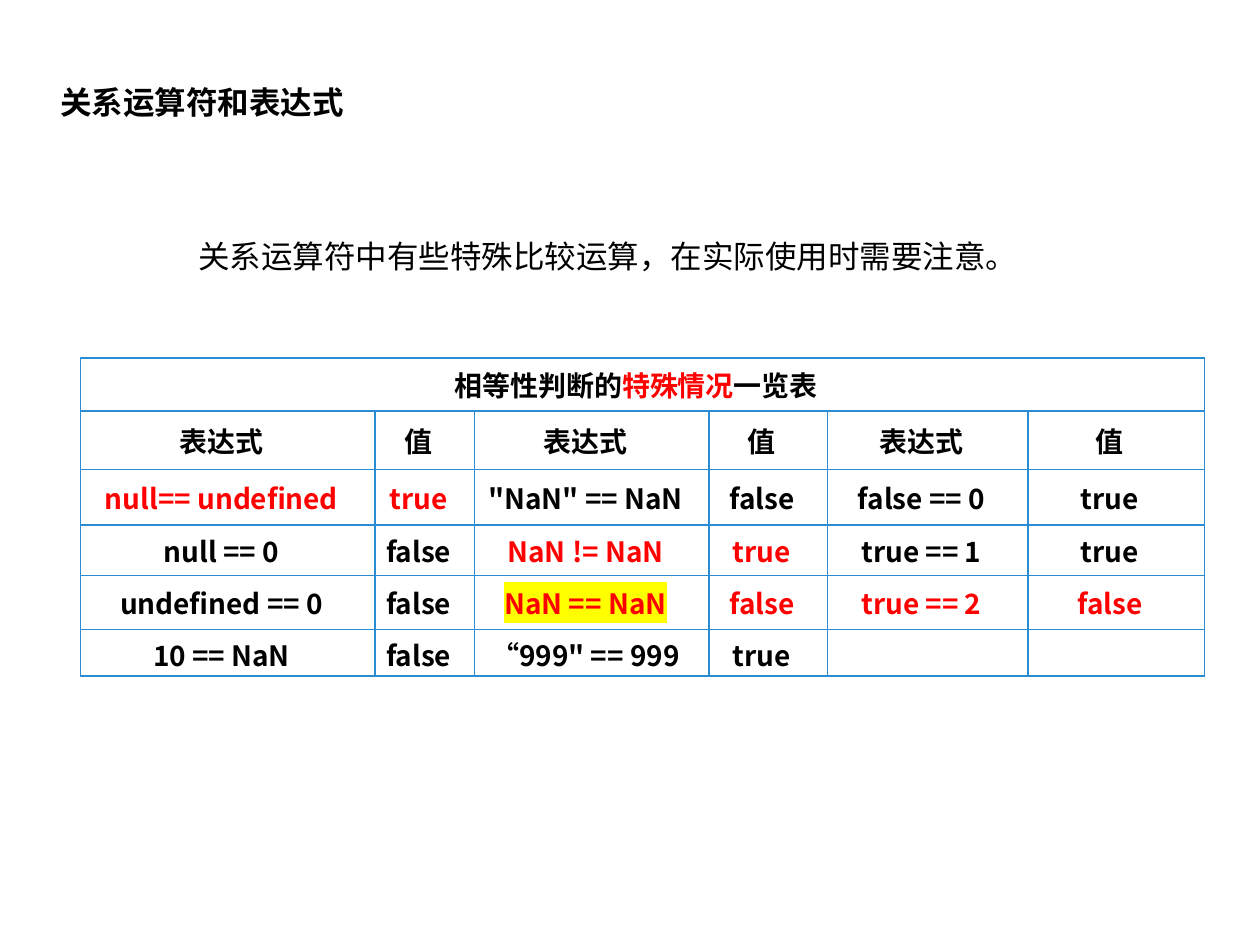
from dataclasses import dataclass
from typing import Optional

from lxml import etree
from pptx import Presentation
from pptx.dml.color import RGBColor
from pptx.enum.text import MSO_ANCHOR, PP_ALIGN
from pptx.oxml.ns import qn
from pptx.util import Cm, Pt

MIDDLE = MSO_ANCHOR.MIDDLE
TOP = MSO_ANCHOR.TOP
CENTER = PP_ALIGN.CENTER
FONT = "Noto Sans CJK SC"
COLORS = {"text": "000000", "accent": "FF0000", "highlight": "FFFF00", "border": "2A8DD4"}
COLUMN_WIDTHS = [5.94, 2.01, 4.72, 2.39, 4.04, 3.56]
ROW_HEIGHTS = [1.07, 1.17, 1.12, 1.02, 1.09, 0.94]


@dataclass(frozen=True)
class TextRun:
    text: str
    color: str = "text"
    highlight: Optional[str] = None


@dataclass(frozen=True)
class TextBox:
    text: str
    left: float
    top: float
    width: float
    height: float
    bold: bool = False
    anchor: MSO_ANCHOR = TOP
    indent: float = 0


def accent(text: str, highlight: Optional[str] = None) -> TextRun:
    return TextRun(text, "accent", highlight)


TITLE = TextBox("关系运算符和表达式", 0.97, 1.27, 21.56, 1.57, True, MIDDLE)
NOTE = TextBox("关系运算符中有些特殊比较运算，在实际使用时需要注意。",
               3.18, 4.65, 19.08, 1.02, indent=0.57)
TABLE_TITLE = [TextRun("相等性判断的"), accent("特殊情况"), TextRun("一览表")]
TABLE_ROWS = [
    [TextRun("表达式"), TextRun("值")] * 3,
    [accent("null== undefined"), accent("true"), TextRun('"NaN" == NaN'),
     TextRun("false"), TextRun("false == 0"), TextRun("true")],
    [TextRun("null == 0"), TextRun("false"), accent("NaN != NaN"),
     accent("true"), TextRun("true == 1"), TextRun("true")],
    [TextRun("undefined == 0"), TextRun("false"), accent("NaN == NaN", "highlight"),
     accent("false"), accent("true == 2"), accent("false")],
    [TextRun("10 == NaN"), TextRun("false"), TextRun('“999" == 999'), TextRun("true")],
]


def add_run(paragraph, item: TextRun, size: int, bold: bool) -> None:
    run = paragraph.add_run()
    run.text = item.text
    run.font.size = Pt(size)
    run.font.bold = bold
    run.font.name = FONT
    run.font.color.rgb = RGBColor.from_string(COLORS[item.color])
    properties = run.font._element
    east_asian = etree.Element(qn("a:ea"), typeface=FONT)
    properties.find(qn("a:latin")).addnext(east_asian)
    if item.highlight:
        highlight = etree.Element(qn("a:highlight"))
        etree.SubElement(highlight, qn("a:srgbClr"), val=COLORS[item.highlight])
        properties.find(qn("a:solidFill")).addnext(highlight)


def add_text_box(slide, box: TextBox) -> None:
    shape = slide.shapes.add_textbox(Cm(box.left), Cm(box.top), Cm(box.width), Cm(box.height))
    frame = shape.text_frame
    frame.word_wrap = True
    frame.vertical_anchor = box.anchor
    paragraph = frame.paragraphs[0]
    if box.indent:
        paragraph._p.get_or_add_pPr().set("indent", str(Cm(box.indent)))
    add_run(paragraph, TextRun(box.text), 18, box.bold)


def set_borders(cell) -> None:
    properties = cell._tc.get_or_add_tcPr()
    for position, side in enumerate(("lnL", "lnR", "lnT", "lnB")):
        line = etree.Element(qn(f"a:{side}"), w=str(Pt(1)))
        fill = etree.SubElement(line, qn("a:solidFill"))
        etree.SubElement(fill, qn("a:srgbClr"), val=COLORS["border"])
        properties.insert(position, line)


def format_cell(cell) -> None:
    cell.fill.background()
    cell.vertical_anchor = MIDDLE
    cell.margin_left = 0
    cell.margin_right = Cm(0.25)
    cell.margin_top = cell.margin_bottom = Cm(0.1)
    set_borders(cell)


def fill_cell(cell, runs: list[TextRun]) -> None:
    paragraph = cell.text_frame.paragraphs[0]
    paragraph.alignment = CENTER
    for item in runs:
        add_run(paragraph, item, 16, True)
    if not runs:
        etree.SubElement(paragraph._p, qn("a:endParaRPr"), sz="1200")


def add_comparison_table(slide) -> None:
    frame = slide.shapes.add_table(len(ROW_HEIGHTS), len(COLUMN_WIDTHS), Cm(1.62), Cm(7.22),
                                   Cm(sum(COLUMN_WIDTHS)), Cm(sum(ROW_HEIGHTS)))
    table = frame.table
    table.first_row = table.horz_banding = False
    for column, width in zip(table.columns, COLUMN_WIDTHS):
        column.width = Cm(width)
    for row, height in zip(table.rows, ROW_HEIGHTS):
        row.height = Cm(height)
    for cell in table.iter_cells():
        format_cell(cell)
    table.cell(0, 0).merge(table.cell(0, len(COLUMN_WIDTHS) - 1))
    fill_cell(table.cell(0, 0), TABLE_TITLE)
    for row_index, items in enumerate(TABLE_ROWS, start=1):
        for column_index in range(len(COLUMN_WIDTHS)):
            fill_cell(table.cell(row_index, column_index), items[column_index:column_index + 1])


def main() -> None:
    presentation = Presentation()
    presentation.slide_width = Cm(25.4)
    presentation.slide_height = Cm(19.05)
    slide = presentation.slides.add_slide(presentation.slide_layouts[6])
    add_text_box(slide, TITLE)
    add_comparison_table(slide)
    add_text_box(slide, NOTE)
    presentation.save("out.pptx")


if __name__ == "__main__":
    main()
